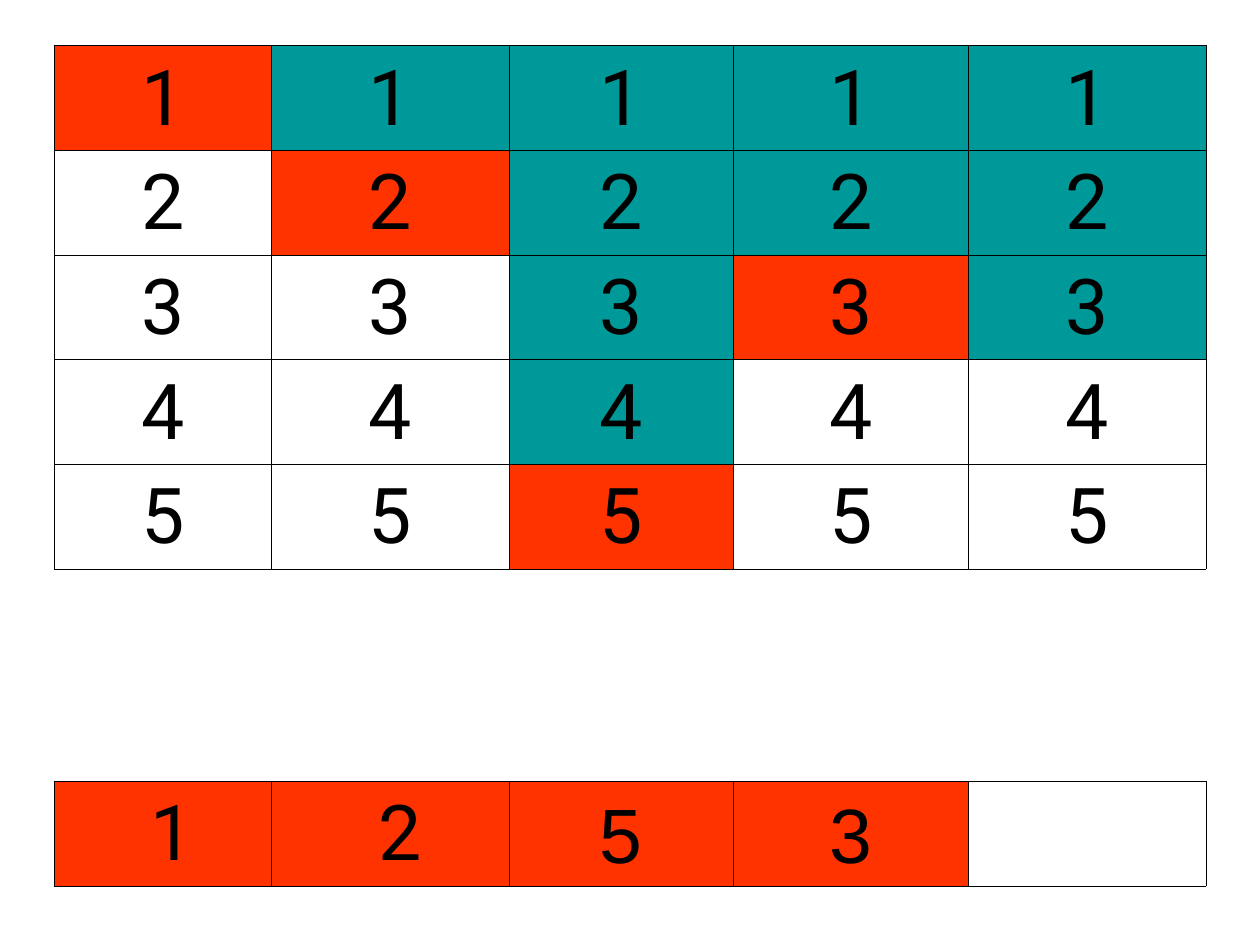
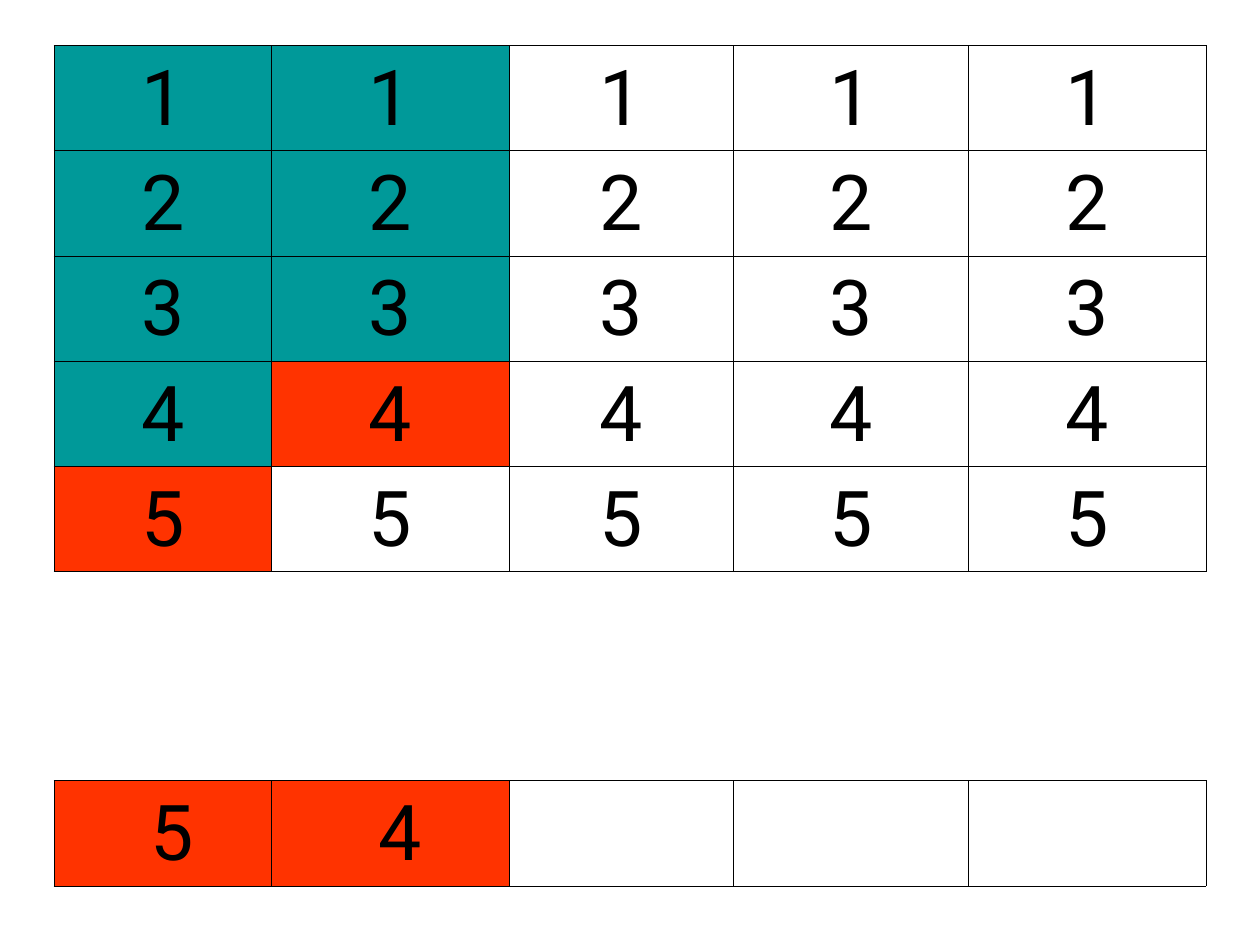
from dataclasses import dataclass

from pptx import Presentation
from pptx.dml.color import RGBColor
from pptx.enum.text import MSO_ANCHOR, PP_ALIGN
from pptx.oxml.ns import qn
from pptx.oxml.xmlchemy import OxmlElement
from pptx.util import Cm, Pt


@dataclass(frozen=True)
class Theme:
    placed: str = "FF3300"
    tried: str = "009999"
    free: str = "FFFFFF"
    ink: str = "000000"
    font: str = "Roboto"
    alternate_font: str = "Arial"
    digit_size: int = 44
    border_width: float = 0.45
    plain_table_style: str = "{2D5ABB26-0587-4C30-8999-92F81FD0307C}"


THEME = Theme()
BOARD_SIZE = 5
GAP_ROW = BOARD_SIZE
ANSWER_ROW = BOARD_SIZE + 1
COLUMN_WIDTHS = [4.39, 4.78, 4.52, 4.75, 4.78]
TABLE_LEFT, TABLE_TOP, TABLE_HEIGHT = 1.09, 0.92, 16.94


def add_borders(cell, sides):
    properties = cell._tc.get_or_add_tcPr()
    for side in sides:
        line = OxmlElement(f"a:ln{side}")
        line.set("w", str(Pt(THEME.border_width)))
        fill = OxmlElement("a:solidFill")
        color = OxmlElement("a:srgbClr")
        color.set("val", THEME.ink)
        fill.append(color)
        line.append(fill)
        properties.append(line)


def fill_cell(cell, color):
    cell.fill.solid()
    cell.fill.fore_color.rgb = RGBColor.from_string(color)


def write_digit(cell, text, font_name=THEME.font):
    cell.vertical_anchor = MSO_ANCHOR.BOTTOM
    paragraph = cell.text_frame.paragraphs[0]
    paragraph.text = text
    paragraph.alignment = PP_ALIGN.CENTER
    paragraph.font.name = font_name
    paragraph.font.size = Pt(THEME.digit_size)
    paragraph.font.color.rgb = RGBColor.from_string(THEME.ink)


def add_plain_table(slide, row_height):
    width = sum(COLUMN_WIDTHS)
    frame = slide.shapes.add_table(
        ANSWER_ROW + 1, BOARD_SIZE,
        Cm(TABLE_LEFT), Cm(TABLE_TOP), Cm(width), Cm(TABLE_HEIGHT))
    table = frame.table
    table.first_row = table.horz_banding = False
    table._tbl.tblPr.find(qn("a:tableStyleId")).text = THEME.plain_table_style
    for column, column_width in zip(table.columns, COLUMN_WIDTHS):
        column.width = Cm(column_width)
    for row in table.rows:
        row.height = Cm(row_height)
    table.rows[GAP_ROW].height = Cm(TABLE_HEIGHT - row_height * ANSWER_ROW)
    return table


def board_color(digit, column, placed, tried_next):
    """Digits are tried from the top down until one can be placed."""
    if column < len(placed):
        if digit == placed[column]:
            return THEME.placed
        return THEME.tried if digit < placed[column] else THEME.free
    if column == len(placed) and digit <= tried_next:
        return THEME.tried
    return THEME.free


def add_search_slide(presentation, placed, tried_next, row_height):
    """Show the board of tried digits above the row of placed digits."""
    slide = presentation.slides.add_slide(presentation.slide_layouts[6])
    table = add_plain_table(slide, row_height)
    for column in range(BOARD_SIZE):
        for row in range(BOARD_SIZE):
            cell = table.cell(row, column)
            digit = row + 1
            add_borders(cell, "LRTB")
            fill_cell(cell, board_color(digit, column, placed, tried_next))
            write_digit(cell, str(digit))

        add_borders(table.cell(GAP_ROW, column), "TB")

        answer = table.cell(ANSWER_ROW, column)
        add_borders(answer, "LRTB")
        if column >= len(placed):
            fill_cell(answer, THEME.free)
            continue
        fill_cell(answer, THEME.placed)
        if column < 2:
            write_digit(answer, f" {placed[column]}")
        else:
            write_digit(answer, str(placed[column]), THEME.alternate_font)


def main():
    presentation = Presentation()
    presentation.slide_width = Cm(25.4)
    presentation.slide_height = Cm(19.05)
    add_search_slide(presentation, placed=[1, 2, 5, 3], tried_next=3, row_height=2.11)
    add_search_slide(presentation, placed=[5, 4], tried_next=0, row_height=2.12)
    presentation.save("out.pptx")


if __name__ == "__main__":
    main()
